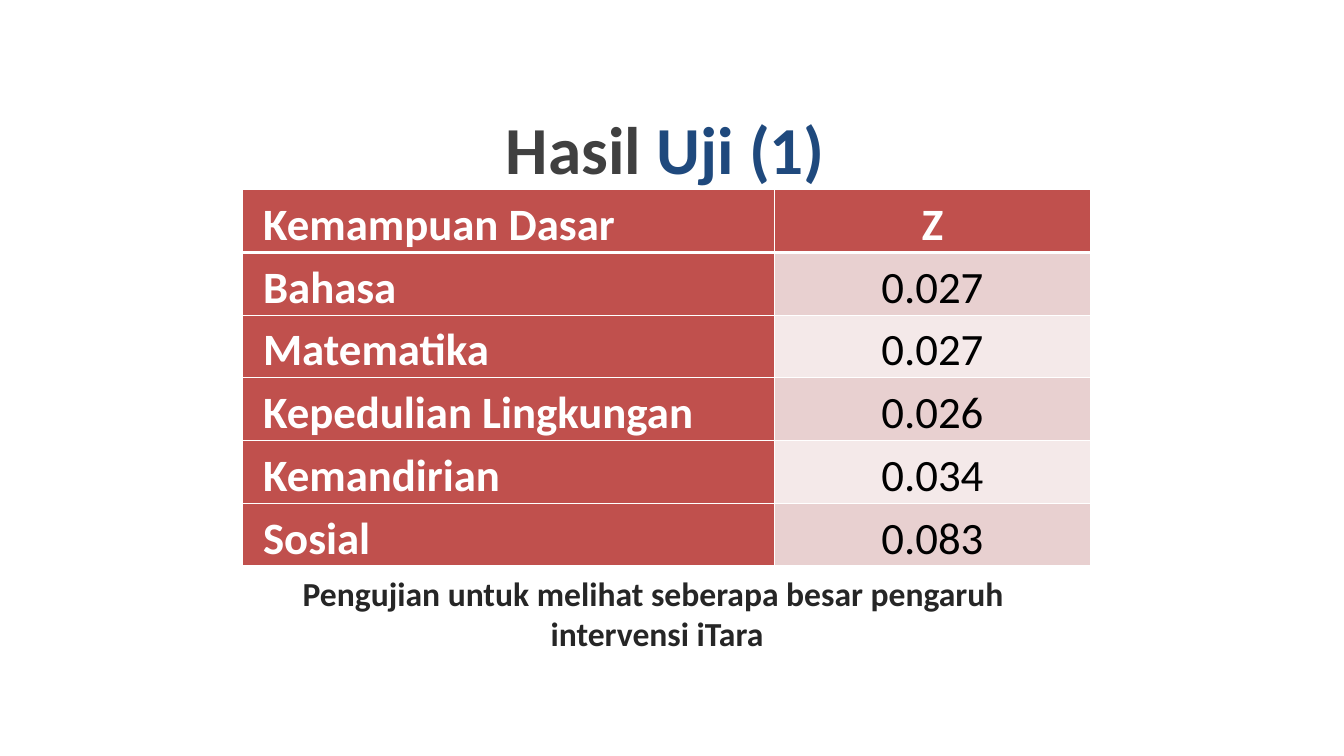
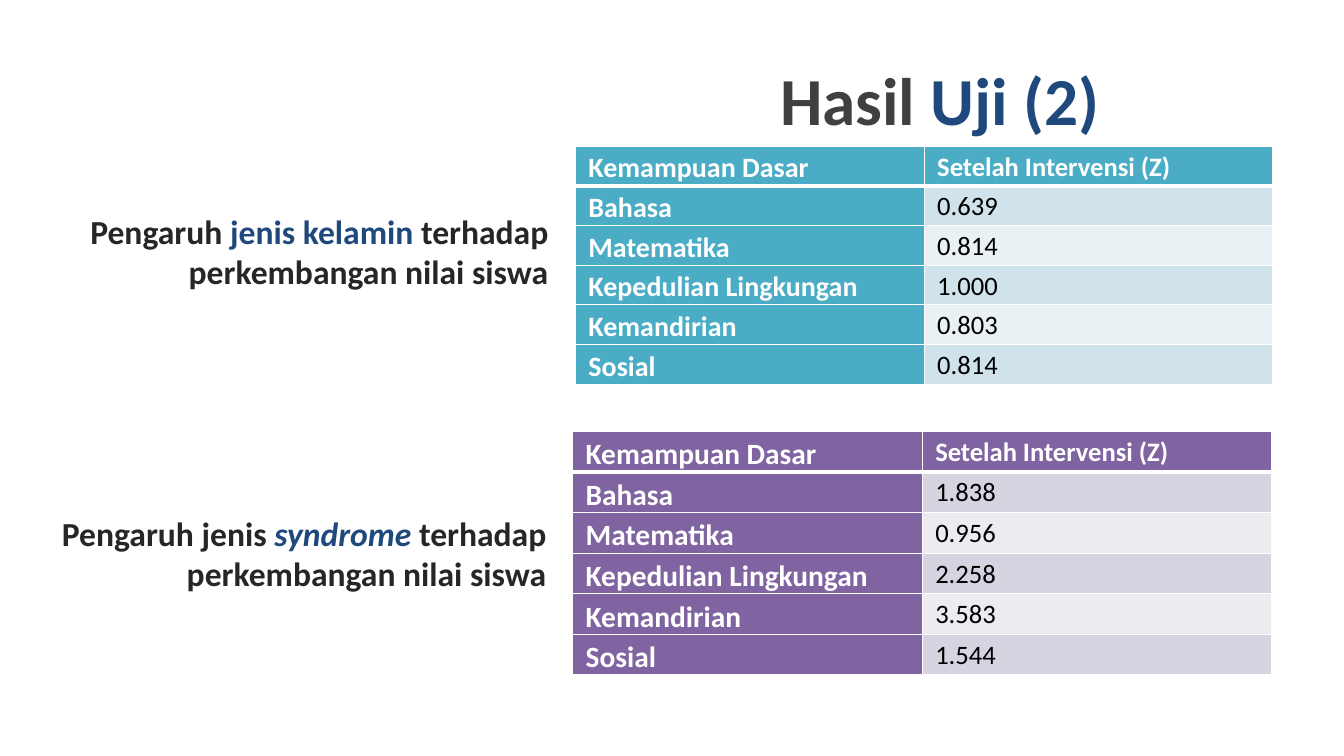
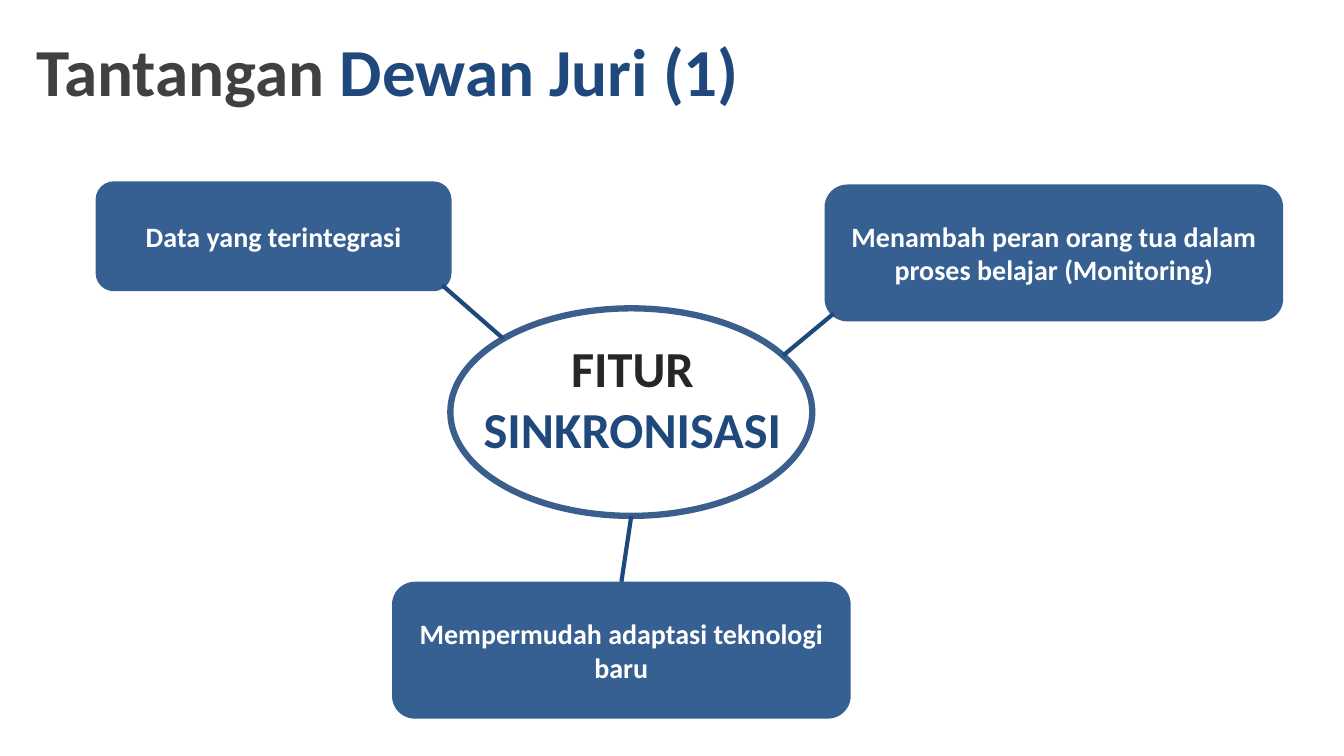
from dataclasses import dataclass
from math import cos, radians, sin

from lxml import etree
from pptx import Presentation
from pptx.dml.color import RGBColor
from pptx.enum import shapes, text
from pptx.oxml import ns
from pptx.util import Cm, Pt


@dataclass(frozen=True)
class Theme:
    font: str = "Calibri"
    title: str = "404040"
    accent: str = "1F497D"
    body: str = "262626"
    box: str = "376092"
    ring: str = "3A5F8C"
    white: str = "FFFFFF"
    black: str = "000000"
    title_pt: int = 48
    hub_pt: int = 36
    body_pt: int = 24
    box_pt: int = 20


THEME = Theme()
LEFT, CENTER, RIGHT = text.PP_ALIGN.LEFT, text.PP_ALIGN.CENTER, text.PP_ALIGN.RIGHT

# Table palettes: header and first column, odd rows, even rows
RED = ("C0504D", "E8D0D0", "F4E9E9")
TEAL = ("4BACC6", "D0E3EA", "E9F1F5")
PURPLE = ("8064A2", "D8D3E0", "EDEAF0")

SKILLS = ["Bahasa", "Matematika", "Kepedulian Lingkungan", "Kemandirian", "Sosial"]

# Titles: dark part, accent part, left, top, width
TITLES = [
    ("Hasil ", "Uji (1)", 12.5, 2.57, 8.64),
    ("Hasil ", "Uji (2)", 19.41, 1.35, 8.64),
    ("Tantangan ", "Dewan Juri (1)", 0.66, 0.61, 18.42),
]

INTERVENTION = dict(
    head="Z", values=["0.027", "0.027", "0.026", "0.034", "0.083"],
    at=(6.12, 4.78), cols=(13.39, 7.98), row=1.58, inset=0.51,
    sizes=(32, 32), align=CENTER, palette=RED)
GENDER = dict(
    head="Setelah Intervensi (Z)", values=["0.639", "0.814", "1.000", "0.803", "0.814"],
    at=(14.5, 3.68), cols=(8.79, 8.79), row=1, inset=0.33,
    sizes=(20, 19), align=LEFT, palette=TEAL)
SYNDROME = dict(
    head="Setelah Intervensi (Z)", values=["1.838", "0.956", "2.258", "3.583", "1.544"],
    at=(14.43, 10.87), cols=(8.81, 8.81), row=1.02, inset=0.33,
    sizes=(21, 19), align=LEFT, palette=PURPLE)

# Paragraphs are lists of runs: text, colour, italic
CAPTION = [
    [("Pengujian untuk melihat seberapa besar pengaruh ", THEME.body, False)],
    [("intervensi iTara", THEME.body, False)],
]
EFFECTS = [
    ((1.24, 5.18), [("Pengaruh ", THEME.body, False),
                    ("jenis kelamin ", THEME.accent, False),
                    ("terhadap perkembangan nilai siswa", THEME.body, False)]),
    ((1.19, 12.8), [("Pengaruh jenis ", THEME.body, False),
                    ("syndrome ", THEME.accent, True),
                    ("terhadap perkembangan nilai siswa", THEME.body, False)]),
]
HUB_TEXT = [[("FITUR ", THEME.body, False), ("SINKRONISASI", THEME.accent, False)]]
HUB = (11.35, 7.77, 9.12, 5.23)

# Benefits: text, box, angle where the link meets the hub, link start (None: top middle)
BENEFITS = [
    ("Data yang terintegrasi", (2.41, 4.57, 8.97, 2.77), 135, (11.15, 7.19)),
    ("Menambah peran orang tua dalam proses belajar (Monitoring)",
     (20.78, 4.65, 11.56, 3.45), 33, (21.01, 7.9)),
    ("Mempermudah adaptasi teknologi baru", (9.88, 14.66, 11.56, 3.45), 270, None),
]


def rgb(value):
    return RGBColor.from_string(value)


def cm(values):
    return [Cm(v) for v in values]


def style(p, size, align=LEFT, color=None, bold=True):
    p.alignment = align
    p.font.name, p.font.size, p.font.bold = THEME.font, Pt(size), bold
    if color:
        p.font.color.rgb = rgb(color)


def add_text(s, at, paragraphs, size, align=LEFT, wrap=True):
    tf = s.shapes.add_textbox(*cm(at)).text_frame
    tf.word_wrap = wrap
    for i, runs in enumerate(paragraphs):
        p = tf.add_paragraph() if i else tf.paragraphs[0]
        style(p, size, align)
        for words, color, italic in runs:
            r = p.add_run()
            r.text = words
            r.font.color.rgb = rgb(color)
            if italic:
                r.font.italic = True
    return tf


def add_title(s, dark, accent, left, top, width):
    runs = [(dark, THEME.title, False), (accent, THEME.accent, False)]
    tf = add_text(s, (left, top, width, 2.31), [runs], THEME.title_pt, wrap=False)
    tf.auto_size = text.MSO_AUTO_SIZE.SHAPE_TO_FIT_TEXT


def add_borders(cell, **widths):
    """White borders, widths in points by side: L, R, T, B."""
    tc_pr = cell._tc.get_or_add_tcPr()
    for side, width in widths.items():
        ln = etree.SubElement(tc_pr, ns.qn(f"a:ln{side}"), w=str(Pt(width)))
        fill = etree.SubElement(ln, ns.qn("a:solidFill"))
        etree.SubElement(fill, ns.qn("a:srgbClr"), val=THEME.white)


def add_score_table(s, head, values, at, cols, row, inset, sizes, align, palette):
    rows = [("Kemampuan Dasar", head), *zip(SKILLS, values)]
    table = s.shapes.add_table(
        len(rows), len(cols), *cm((*at, sum(cols), row * len(rows)))).table
    for column, width in zip(table.columns, cols):
        column.width = Cm(width)
    for i, words in enumerate(rows):
        table.rows[i].height = Cm(row)
        for j, word in enumerate(words):
            strong = i == 0 or j == 0
            cell = table.cell(i, j)
            cell.margin_left = cell.margin_right = Cm(inset)
            cell.margin_top = cell.margin_bottom = 0
            add_borders(cell, L=1, R=1, T=3 if i == 1 else 1, B=3 if i == 0 else 1)
            cell.fill.solid()
            cell.fill.fore_color.rgb = rgb(palette[0 if strong else 2 - i % 2])
            p = cell.text_frame.paragraphs[0]
            p.text = word
            p.line_spacing = 1.15
            style(p, sizes[j], align if j else LEFT,
                  THEME.white if strong else THEME.black, strong)


def add_benefit(s, words, at):
    sp = s.shapes.add_shape(shapes.MSO_SHAPE.ROUNDED_RECTANGLE, *cm(at))
    sp.shadow.inherit = False
    sp.fill.solid()
    sp.fill.fore_color.rgb = rgb(THEME.box)
    sp.line.fill.background()
    tf = sp.text_frame
    tf.word_wrap = True
    tf.vertical_anchor = text.MSO_ANCHOR.MIDDLE
    p = tf.paragraphs[0]
    p.text = words
    style(p, THEME.box_pt, CENTER, THEME.white)
    return sp


def add_hub(s):
    sp = s.shapes.add_shape(shapes.MSO_SHAPE.OVAL, *cm(HUB))
    sp.shadow.inherit = False
    sp.fill.background()
    sp.line.color.rgb = rgb(THEME.ring)
    sp.line.width = Pt(4.5)


def hub_point(angle):
    left, top, width, height = HUB
    a = radians(angle)
    return left + width / 2 * (1 + cos(a)), top + height / 2 * (1 - sin(a))


def add_link(s, box, angle, start):
    end = hub_point(angle)
    line = s.shapes.add_connector(
        shapes.MSO_CONNECTOR.STRAIGHT, *cm((*(start or end), *end)))
    if start is None:
        line.begin_connect(box, 0)
    line.line.color.rgb = rgb(THEME.accent)
    line.line.width = Pt(3)
    etree.SubElement(line._element.spPr, ns.qn("a:effectLst"))


def main():
    prs = Presentation()
    prs.slide_width, prs.slide_height = Cm(33.87), Cm(19.05)
    slides = [prs.slides.add_slide(prs.slide_layouts[6]) for _ in TITLES]
    for s, title in zip(slides, TITLES):
        add_title(s, *title)
    overall, factors, challenge = slides

    add_score_table(overall, **INTERVENTION)
    add_text(overall, (4.62, 14.3, 23.88, 2.13), CAPTION, THEME.body_pt, CENTER)

    for table in (GENDER, SYNDROME):
        add_score_table(factors, **table)
    for at, runs in EFFECTS:
        add_text(factors, (*at, 12.83, 3.84), [runs], THEME.body_pt, RIGHT)

    add_text(challenge, (11.23, 8.38, 9.42, 2.13), HUB_TEXT, THEME.hub_pt, CENTER)
    boxes = [add_benefit(challenge, words, at) for words, at, _, _ in BENEFITS]
    add_hub(challenge)
    for box, (_, _, angle, start) in zip(boxes, BENEFITS):
        add_link(challenge, box, angle, start)

    prs.save("out.pptx")


if __name__ == "__main__":
    main()
